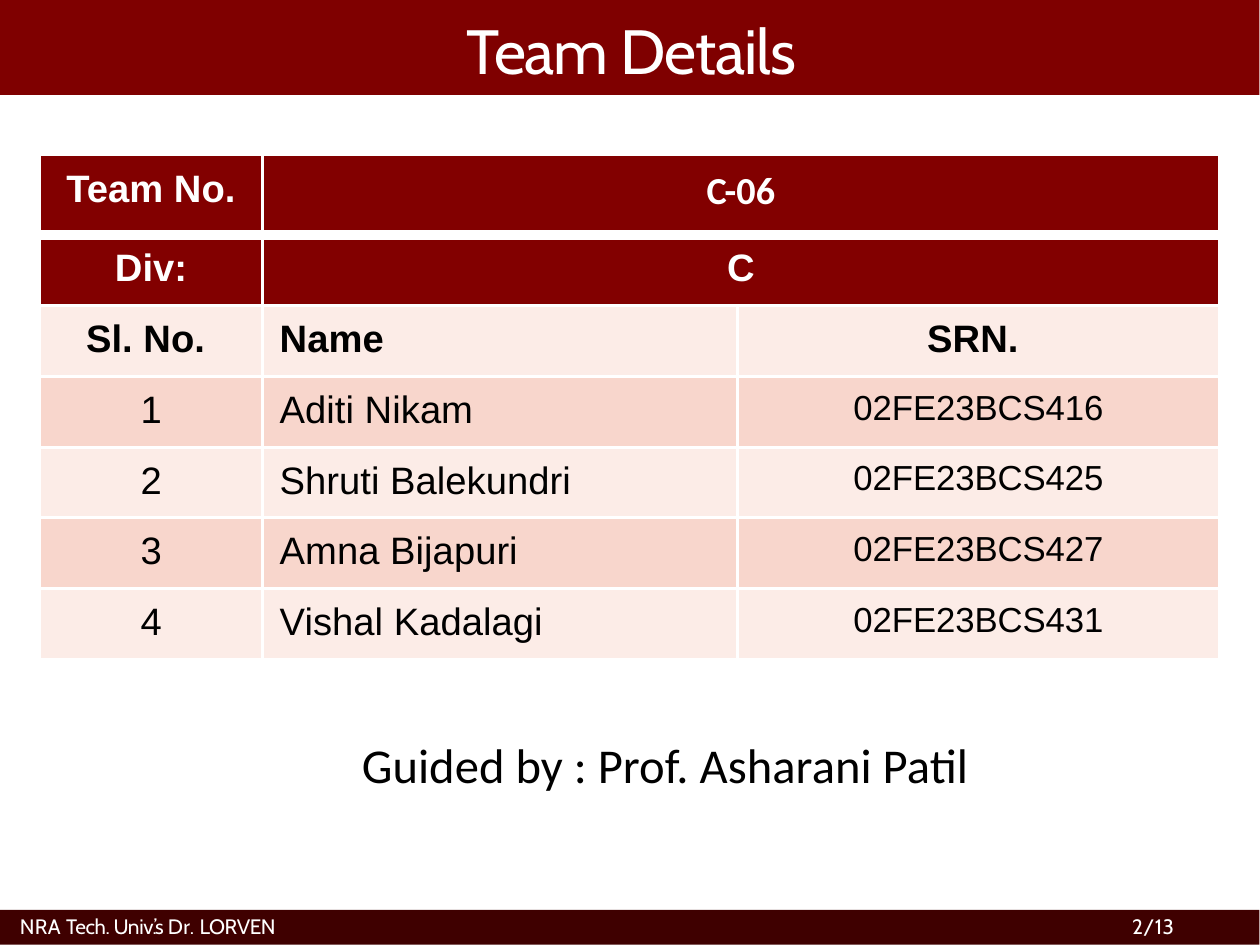
from lxml import etree
from pptx import Presentation
from pptx.dml.color import RGBColor
from pptx.enum.shapes import MSO_SHAPE
from pptx.enum.text import PP_ALIGN
from pptx.oxml.ns import qn
from pptx.util import Inches, Pt

WHITE = RGBColor(0xFF, 0xFF, 0xFF)
BLACK = RGBColor(0x00, 0x00, 0x00)
TITLE_RED = RGBColor(0x7F, 0x00, 0x00)
FOOTER_RED = RGBColor(0x3F, 0x00, 0x00)
HEADER_RED = RGBColor(0x82, 0x00, 0x00)
PALE_PINK = RGBColor(0xFC, 0xEC, 0xE7)
PINK = RGBColor(0xF8, 0xD6, 0xCC)


def write(frame, parts, font="Arial", size=11, color=BLACK, bold=False,
          align=PP_ALIGN.LEFT, line=None):
    """Fill a text frame with (text, letter spacing in points) parts."""
    paragraph = frame.paragraphs[0]
    paragraph.alignment = align
    if line:
        paragraph.line_spacing = Pt(line)
    for text, spacing in parts:
        run = paragraph.add_run()
        run.text = text
        run.font.name = font
        run.font.size = Pt(size)
        run.font.bold = bold
        run.font.color.rgb = color
        if spacing:
            run._r.get_or_add_rPr().set("spc", str(round(spacing * 100)))


def set_borders(cell, **widths):
    """Draw white cell borders; widths are points by side: L, R, T, B."""
    properties = cell._tc.get_or_add_tcPr()
    for side, width in widths.items():
        border = etree.SubElement(properties, qn(f"a:ln{side}"), w=str(Pt(width)))
        fill = etree.SubElement(border, qn("a:solidFill"))
        etree.SubElement(fill, qn("a:srgbClr"), val=str(WHITE))


# The page measures 363 by 272.5 points
deck = Presentation()
deck.slide_width, deck.slide_height = Inches(363 / 72), Inches(272.5 / 72)
deck.element.sldSz.attrib.pop("type", None)
slide = deck.slides.add_slide(deck.slide_layouts[6])

# Title and footer bars
for top, height, color in [(0, 0.38, TITLE_RED), (3.64, 0.14, FOOTER_RED)]:
    bar = slide.shapes.add_shape(MSO_SHAPE.RECTANGLE, 0, Inches(top),
                                 Inches(5.04), Inches(height))
    bar.shadow.inherit = False
    bar.fill.solid()
    bar.fill.fore_color.rgb = color
    bar.line.fill.background()

# Team table
COLUMNS = [0.89, 1.9, 1.93]
TABLE_HEIGHT, FIRST_ROW = 2.02, 0.32
ROWS = [FIRST_ROW] + [(TABLE_HEIGHT - FIRST_ROW) / 6] * 6
ALIGNMENTS = [PP_ALIGN.CENTER, PP_ALIGN.LEFT, PP_ALIGN.CENTER]
CONTENT = [
    ("Team No.", "C-06", ""),
    ("Div:", "C", ""),
    ("Sl. No. ", "Name", "SRN. "),
    ("1", "Aditi Nikam", "02FE23BCS416"),
    ("2", "Shruti Balekundri", "02FE23BCS425"),
    ("3", "Amna Bijapuri", "02FE23BCS427"),
    ("4", "Vishal Kadalagi", "02FE23BCS431"),
]
team = slide.shapes.add_table(len(ROWS), len(COLUMNS), Inches(0.16), Inches(0.62),
                              Inches(sum(COLUMNS)), Inches(TABLE_HEIGHT)).table
for column, width in zip(team.columns, COLUMNS):
    column.width = Inches(width)
for row, height in zip(team.rows, ROWS):
    row.height = Inches(height)

for r, texts in enumerate(CONTENT):
    is_header = r < 2
    if is_header:
        team.cell(r, 1).merge(team.cell(r, 2))
    for c, text in enumerate(texts):
        cell = team.cell(r, c)
        set_borders(cell, L=0.96, R=0.96, T=3 if r == 1 else 0.96,
                    B=3 if r == 0 else 0.96)
        cell.fill.solid()
        cell.fill.fore_color.rgb = HEADER_RED if is_header else (PALE_PINK, PINK)[r % 2]
        cell.margin_left = cell.margin_right = Inches(0.07)
        cell.margin_top = cell.margin_bottom = Inches(0.05)
        if text:
            write(cell.text_frame, [(text, 0)],
                  font="Calibri" if text == "C-06" else "Arial",
                  size=10 if r > 2 and c == 2 else 11,
                  color=WHITE if is_header else BLACK, bold=r < 3,
                  align=PP_ALIGN.CENTER if is_header else ALIGNMENTS[c])

# Title, guide and footer texts
FOOTER = dict(font="Cabin", size=6, color=WHITE, line=6.8)
institute = [("NRA ", 0.1), ("Tech. Univ.’s ", -0.1), ("Dr. ", 0.1), ("LORVEN", -0.1)]
for left, top, width, height, inset, parts, style in [
    (1.77, 0, 1.83, 0.4, (0.1, 0.05), [("Team Details", -0.3)],
     dict(font="Cabin", size=18, color=WHITE)),
    (1.35, 2.89, 2.67, 0.34, (0.1, 0.05), [("Guided by : Prof. Asharani Patil", 0)],
     dict(font="Calibri", size=14)),
    (0.08, 3.66, 1.24, 0.11, (0, 0), institute, FOOTER),
    (4.53, 3.66, 0.32, 0.11, (0, 0), [("2/13", 0.1)], FOOTER),
]:
    frame = slide.shapes.add_textbox(Inches(left), Inches(top), Inches(width),
                                     Inches(height)).text_frame
    frame.word_wrap = True
    frame.margin_left = frame.margin_right = Inches(inset[0])
    frame.margin_top = frame.margin_bottom = Inches(inset[1])
    write(frame, parts, **style)

deck.save("out.pptx")
